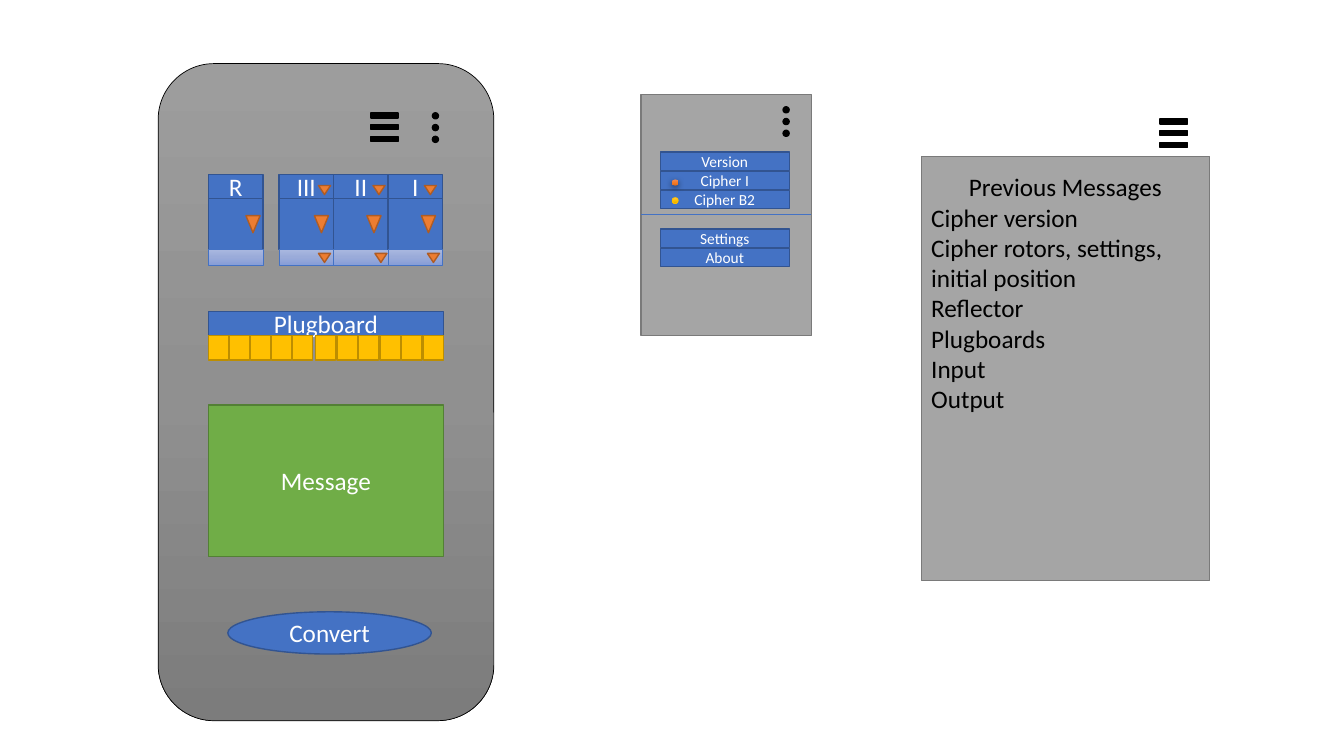
from copy import deepcopy

from lxml import etree
from pptx import Presentation
from pptx.dml.color import RGBColor
from pptx.enum.shapes import MSO_CONNECTOR, MSO_SHAPE
from pptx.enum.text import MSO_ANCHOR, PP_ALIGN
from pptx.oxml.ns import qn
from pptx.util import Pt

RECT, ROUND = MSO_SHAPE.RECTANGLE, MSO_SHAPE.ROUNDED_RECTANGLE
OVAL, TRIANGLE = MSO_SHAPE.OVAL, MSO_SHAPE.FLOWCHART_MERGE
STRAIGHT = MSO_CONNECTOR.STRAIGHT
LEFT, CENTER = PP_ALIGN.LEFT, PP_ALIGN.CENTER
TOP, MIDDLE = MSO_ANCHOR.TOP, MSO_ANCHOR.MIDDLE

BLACK, WHITE = RGBColor(0, 0, 0), RGBColor(255, 255, 255)
BLUE, BLUE_EDGE = RGBColor(0x44, 0x72, 0xC4), RGBColor(0x32, 0x54, 0x91)
ORANGE, ORANGE_EDGE = RGBColor(0xED, 0x7D, 0x31), RGBColor(0xAF, 0x5C, 0x24)
GOLD, GOLD_EDGE = RGBColor(0xFF, 0xC0, 0x00), RGBColor(0xBD, 0x8E, 0x00)
GREEN, GREEN_EDGE = RGBColor(0x70, 0xAD, 0x47), RGBColor(0x53, 0x80, 0x35)
GREY, GREY_EDGE = RGBColor(0xA5, 0xA5, 0xA5), RGBColor(0x7A, 0x7A, 0x7A)
PHONE_SHADES = [RGBColor(v, v, v) for v in (0x9D, 0x90, 0x7C)]
BLUE_SHADES = [RGBColor(0xA8, 0xB7, 0xDF), RGBColor(0x9A, 0xAB, 0xD9),
               RGBColor(0x88, 0x9E, 0xD7)]
ORANGE_SHADES = [RGBColor(0xF1, 0x8C, 0x57), RGBColor(0xF6, 0x7B, 0x28),
                 RGBColor(0xE5, 0x6C, 0x19)]
GOLD_SHADES = [RGBColor(0xFF, 0xC6, 0x4B), RGBColor(0xFF, 0xC0, 0x00),
               RGBColor(0xE3, 0xAB, 0x00)]


class Sketch:
    """Holds the text style and the current slide; lengths are in points."""

    font = "Calibri"

    def __init__(self, slide):
        """Keep the shapes of the slide to draw on."""
        self.shapes = slide.shapes

    def shape(self, kind, x, y, w, h, fill, edge=None, weight=1):
        """Draw a preset shape; a list of three colours makes a gradient."""
        sp = self.shapes.add_shape(kind, Pt(x), Pt(y), Pt(w), Pt(h))
        sp.shadow.inherit = False
        if isinstance(fill, list):
            self.gradient(sp, fill)
        else:
            sp.fill.solid()
            sp.fill.fore_color.rgb = fill
        if edge is None:
            sp.line.fill.background()
        else:
            sp.line.color.rgb = edge
            sp.line.width = Pt(weight)
        return sp

    def gradient(self, sp, colors):
        """Fill a shape from top to bottom with three evenly spaced colours."""
        sp.fill.gradient()
        sp.fill.gradient_angle = 270
        first = sp.element.spPr.find(".//" + qn("a:gs"))
        first.addnext(deepcopy(first))
        for i, stop in enumerate(sp.fill.gradient_stops):
            stop.position = i / 2
            stop.color.rgb = colors[i]

    def text(self, sp, lines, size=18, color=WHITE, anchor=MIDDLE):
        """Write (text, alignment) lines into a shape."""
        tf = sp.text_frame
        tf.word_wrap = True
        tf.vertical_anchor = anchor
        for i, (line, align) in enumerate(lines):
            p = tf.add_paragraph() if i else tf.paragraphs[0]
            p.alignment = align
            r = p.add_run()
            r.text = line
            r.font.name = self.font
            r.font.size = Pt(size)
            r.font.color.rgb = color

    def label(self, kind, x, y, w, h, text, size=18, fill=BLUE, edge=BLUE_EDGE):
        """Draw a shape with one centred line of text."""
        sp = self.shape(kind, x, y, w, h, fill, edge)
        self.text(sp, [(text, CENTER)], size)

    def triangles(self, lefts, y, w, h):
        """Draw a row of orange drop-down triangles."""
        for x in lefts:
            self.shape(TRIANGLE, x, y, w, h, ORANGE, ORANGE_EDGE)

    def icon(self, kind, x, y, w, h):
        """Draw a menu icon of three stacked black marks."""
        for i in range(3):
            self.shape(kind, x, y + 8.4 * i, w, h, BLACK, BLACK)

    def dots(self, x, y):
        """Draw the three-dot icon."""
        self.icon(OVAL, x, y, 4.3, 4.3)

    def bars(self, x, y):
        """Draw the three-bar icon."""
        self.icon(RECT, x, y, 19.4, 3.6)

    def line(self, x1, y1, x2, y2, color, weight):
        """Draw a straight line without a shadow."""
        c = self.shapes.add_connector(STRAIGHT, Pt(x1), Pt(y1), Pt(x2), Pt(y2))
        c.line.color.rgb = color
        c.line.width = Pt(weight)
        etree.SubElement(c.element.spPr, qn("a:effectLst"))

    def shadow(self, sp):
        """Give a shape a soft black shadow below it."""
        effects = sp.element.spPr.find(qn("a:effectLst"))
        outer = etree.SubElement(
            effects, qn("a:outerShdw"), blurRad=str(Pt(4.5)), dist=str(Pt(1.5)),
            dir="5400000", algn="ctr", rotWithShape="0")
        black = etree.SubElement(outer, qn("a:srgbClr"), val="000000")
        etree.SubElement(black, qn("a:alpha"), val="63000")


def draw_phone(s):
    """Draw the main screen with rotors, plugboard, message and button."""
    s.shape(ROUND, 113, 45.4, 239.8, 469.4, PHONE_SHADES, BLACK, 0.5)
    s.bars(265, 80.6)
    s.dots(308.9, 80.6)

    left, rotor_w = 149, 38.9
    rotors = [("R", left)]
    rotors += [(n, 199.4 + rotor_w * i) for i, n in enumerate(("III", "II", "I"))]
    for name, x in rotors:
        s.shape(RECT, x, 141.9, rotor_w, 36.3, BLUE, BLUE_EDGE)
        s.label(RECT, x, 124.6, rotor_w, 17.3, name)
        s.shape(RECT, x, 178.4, rotor_w, 10.8, BLUE_SHADES, BLUE, 0.5)
    s.triangles((227.5, 266.4, 303.1), 132.5, 8.6, 6.5)
    s.triangles((175.7, 224.6, 262.1, 301), 154.1, 10.1, 12.2)
    s.triangles((227.5, 267.8, 305.3), 181, 8.6, 6.5)

    width = 167.6
    s.label(RECT, left, 222.5, width, 17.3, "Plugboard")
    for start, count, step in ((left, 5, 14.95), (225.4, 6, 15.4)):
        for i in range(count):
            s.shape(RECT, start + step * i, 239.8, 14.4, 17.3, GOLD, GOLD_EDGE)
    s.label(RECT, left, 289.4, width, 108, "Message", fill=GREEN, edge=GREEN_EDGE)
    s.label(OVAL, 162.7, 437, 145.4, 30.2, "Convert")


def draw_menu(s):
    """Draw the drop-down menu with the version choice."""
    left, width = 457.9, 121.7
    s.shape(RECT, left, 67.7, width, 172.1, GREY, GREY_EDGE)
    s.dots(559.4, 76.3)
    groups = ((108.7, ("Version", "Cipher I", "Cipher B2")),
              (163.6, ("Settings", "About")))
    for top, names in groups:
        for i, name in enumerate(names):
            s.label(RECT, 471.6, top + 13.7 * i, 92.2, 13, name, 11)
    chosen = s.shape(OVAL, 480.2, 128.2, 4.3, 4.3, ORANGE_SHADES)
    s.shadow(chosen)
    s.shape(OVAL, 480.2, 141.1, 4.3, 4.3, GOLD_SHADES, GOLD, 0.5)
    s.line(left, 153.4, left + width, 153.4, BLUE, 0.5)


def draw_history(s):
    """Draw the panel of previous messages."""
    panel = s.shape(RECT, 658.1, 111.6, 205.9, 303.1, GREY, GREY_EDGE)
    panel.text_frame.margin_top = Pt(11)
    details = ("Cipher version", "Cipher rotors, settings, initial position",
               "Reflector", "Plugboards", "Input", "Output")
    lines = [("Previous Messages", CENTER)] + [(d, LEFT) for d in details]
    s.text(panel, lines, color=BLACK, anchor=TOP)
    s.bars(828.7, 85)


prs = Presentation()
prs.slide_width, prs.slide_height = Pt(960), Pt(540)
sketch = Sketch(prs.slides.add_slide(prs.slide_layouts[6]))
draw_phone(sketch)
draw_menu(sketch)
draw_history(sketch)
prs.save("out.pptx")
